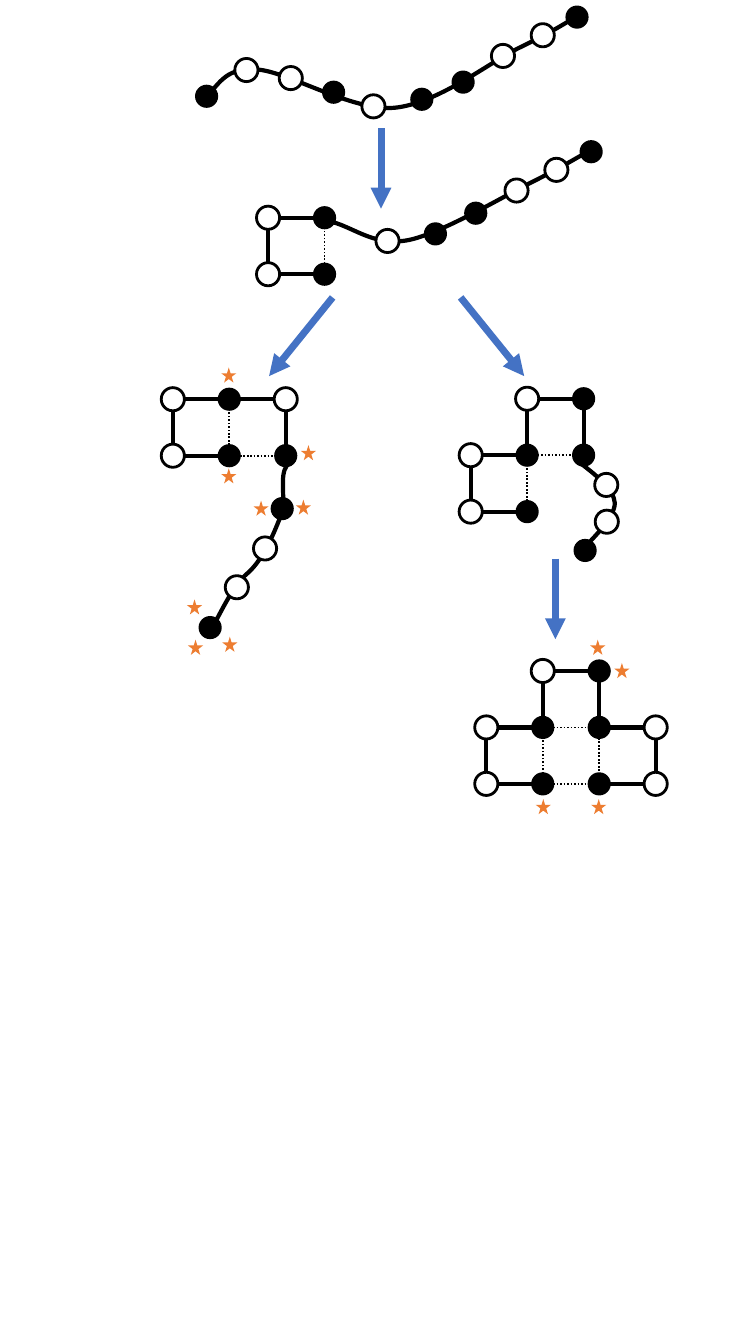
from itertools import combinations, pairwise

from lxml import etree
from pptx import Presentation
from pptx.dml.color import RGBColor
from pptx.enum.dml import MSO_LINE
from pptx.enum.shapes import MSO_CONNECTOR, MSO_SHAPE
from pptx.oxml.ns import qn
from pptx.util import Emu, Inches, Pt

OVAL, STAR = MSO_SHAPE.OVAL, MSO_SHAPE.STAR_5_POINT
STRAIGHT, DOTTED = MSO_CONNECTOR.STRAIGHT, MSO_LINE.ROUND_DOT

COLOURS = {"ink": "000000", "paper": "FFFFFF", "arrow": "4472C4", "star": "ED7D31"}

# Page grid: 75 columns by 133.3 rows
COLUMNS, ROWS = 75, 133.3
BEAD, STAR_SIZE, PITCH = 2.3, 1.5, 5.6

# Every stage shows the same chain of black and white beads
SEQUENCE = "BWWBWBBWWB"

# Each stage: lattice origin, folded sites in chain order,
# centres of the loose beads, and the curve that threads them
STAGES = [
    {"origin": (0, 0), "sites": [],
     "loose": [(20.5, 9.55), (24.45, 6.95), (28.85, 7.75), (33.1, 9.15), (37.05, 10.55),
               (41.85, 9.85), (45.95, 8.15), (49.9, 5.55), (53.85, 3.5), (57.25, 1.7)],
     "curve": [(20.5, 9.6), (21.9, 8.1), (22.5, 6.7), (25.5, 6.9), (28.6, 7.1),
               (34.8, 11), (39.1, 10.7), (43.4, 10.3), (48.4, 6.3), (51.4, 4.8),
               (54.5, 3.3), (55.6, 2.6), (57.1, 1.7)]},
    {"origin": (26.6, 21.6), "sites": [(1, 1), (0, 1), (0, 0), (1, 0)],
     "loose": [(38.45, 23.9), (43.2, 23.2), (47.2, 21.15), (51.25, 18.9), (55.2, 16.85),
               (58.65, 15.05)],
     "curve": [(32.9, 22), (35.2, 22.6), (37.2, 24.5), (40.6, 23.8), (43.9, 23.1),
               (49.9, 19.5), (52.9, 18), (55.9, 16.5), (57.1, 15.7), (58.6, 14.9)]},
    {"origin": (17.15, 39.6),
     "sites": [(1, 1), (0, 1), (0, 0), (1, 0), (2, 0), (2, 1)],
     "loose": [(28, 50.45), (26.3, 54.4), (23.5, 58.25), (20.85, 62.25)],
     "curve": [(28.5, 46.1), (27.6, 47.3), (28.5, 49.4), (27.8, 51.3), (27.1, 53.1),
               (26, 55.7), (24.4, 57), (22.8, 58.4), (21.4, 62), (20.7, 62.7)]},
    {"origin": (46.7, 39.55),
     "sites": [(1, 2), (0, 2), (0, 1), (1, 1), (1, 0), (2, 0), (2, 1)],
     "loose": [(60.15, 48.1), (60.2, 51.75), (58.05, 54.6)],
     "curve": [(57.4, 45.8), (59.1, 47.1), (60.9, 48.5), (61, 49.9), (61, 51.4),
               (58.5, 53.7), (57.9, 54.4)]},
    {"origin": (48.25, 66.55),
     "sites": [(1, 2), (0, 2), (0, 1), (1, 1), (1, 0), (2, 0), (2, 1), (3, 1), (3, 2),
               (2, 2)],
     "loose": [], "curve": []},
]

ARROWS = [((37.8, 12.7), (37.8, 20.7)), ((33, 29.5), (26.7, 37.3)),
          ((45.7, 29.5), (52, 37.3)), ((55.1, 55.4), (55.1, 63.4))]

STARS = [(22.7, 37.2), (30.6, 44.9), (22.7, 47.2), (25.9, 50.4), (30.1, 50.3),
         (19.3, 60.2), (19.4, 64.2), (22.8, 63.9), (59.3, 64.2), (61.7, 66.5),
         (53.9, 80), (59.4, 80)]


class FoldingPage:
    """Holds the current slide, its grid and its colours."""

    def __init__(self, deck):
        self.shapes = deck.slides.add_slide(deck.slide_layouts[6]).shapes
        self.column = deck.slide_width / COLUMNS
        self.row = deck.slide_height / ROWS

    def place(self, point):
        return Emu(round(point[0] * self.column)), Emu(round(point[1] * self.row))

    def stroke(self, line, colour, width):
        line.color.rgb = RGBColor.from_string(COLOURS[colour])
        line.width = Pt(width)

    def mark(self, kind, centre, size, fill, outline=None):
        left, top = self.place([value - size / 2 for value in centre])
        shape = self.shapes.add_shape(kind, left, top, *self.place((size, size)))
        shape.shadow.inherit = False
        shape.fill.solid()
        shape.fill.fore_color.rgb = RGBColor.from_string(COLOURS[fill])
        if outline:
            self.stroke(shape.line, outline, 2)
        else:
            shape.line.fill.background()

    def bead(self, centre, kind):
        if kind == "B":
            self.mark(OVAL, centre, BEAD, "ink")
        else:
            self.mark(OVAL, centre, BEAD, "paper", "ink")

    def line(self, start, end, colour="ink", width=3, dash=None, arrow=False):
        connector = self.shapes.add_connector(STRAIGHT, *self.place(start), *self.place(end))
        self.stroke(connector.line, colour, width)
        if dash:
            connector.line.dash_style = dash
        if arrow:
            outline = connector.line._get_or_add_ln()
            etree.SubElement(outline, qn("a:tailEnd"), type="triangle")
        etree.SubElement(connector._element.spPr, qn("a:effectLst"))

    def curve(self, points):
        start, *rest = [self.place(point) for point in points]
        builder = self.shapes.build_freeform(*start)
        builder.add_line_segments(rest, close=False)
        shape = builder.convert_to_shape()
        shape.shadow.inherit = False
        shape.fill.background()
        self.stroke(shape.line, "ink", 3)
        # Join each three straight steps into one cubic segment
        steps = list(shape._element.iter(qn("a:lnTo")))
        for first, second, third in zip(steps[::3], steps[1::3], steps[2::3]):
            first.tag = qn("a:cubicBezTo")
            for step in (second, third):
                first.append(step[0])
                step.getparent().remove(step)

    def stage(self, origin, sites, loose, curve):
        folded = [tuple(start + PITCH * step for start, step in zip(origin, site))
                  for site in sites]
        if curve:
            self.curve(curve)
        for start, end in pairwise(folded):
            self.line(start, end)
        # Dotted contacts: black neighbours that are not linked in the chain
        for one, two in combinations(range(len(sites)), 2):
            distance = sum(abs(a - b) for a, b in zip(sites[one], sites[two]))
            if distance == 1 and two - one > 1 and SEQUENCE[one] == SEQUENCE[two] == "B":
                self.line(folded[one], folded[two], width=1.25, dash=DOTTED)
        for centre, kind in zip(folded + loose, SEQUENCE):
            self.bead(centre, kind)


def main():
    deck = Presentation()
    deck.slide_width, deck.slide_height = Inches(7.5), Inches(13.33)
    page = FoldingPage(deck)

    # Chain and its folds
    for stage in STAGES:
        page.stage(**stage)

    # Arrows between stages
    for start, end in ARROWS:
        page.line(start, end, "arrow", 5, arrow=True)

    # Open positions
    for centre in STARS:
        page.mark(STAR, centre, STAR_SIZE, "star")

    deck.save("out.pptx")


if __name__ == "__main__":
    main()
